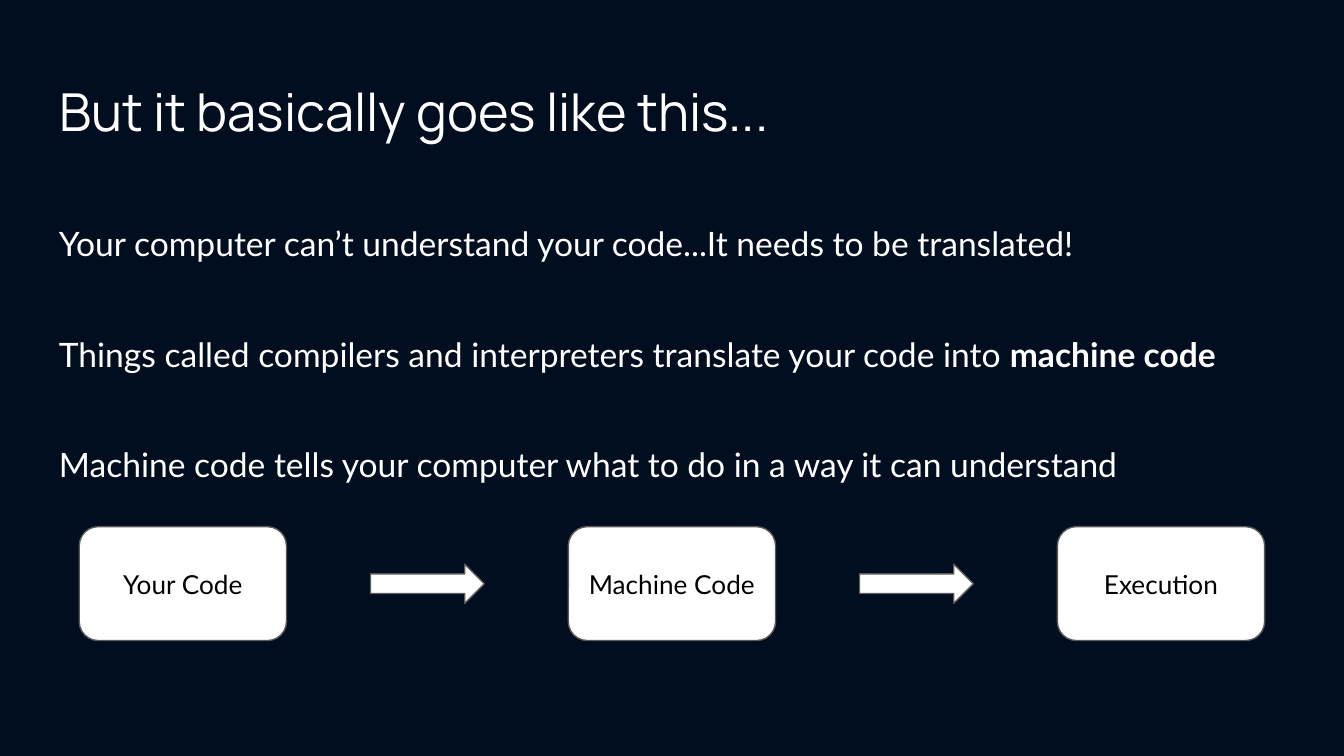
from pptx import Presentation
from pptx.dml.color import RGBColor
from pptx.enum import shapes, text
from pptx.util import Pt

NAVY = RGBColor(0x00, 0x0E, 0x1F)
WHITE = RGBColor(0xFF, 0xFF, 0xFF)
BLACK = RGBColor(0x00, 0x00, 0x00)
GRAY = RGBColor(0x59, 0x59, 0x59)

MARGIN = 24.5
CONTENT_WIDTH = 671
INSET = 7.2
STEPS = ["Your Code", "Machine Code", "Execution"]
STEP_LEFT, STEP_TOP, STEP_PITCH = 42.5, 282.2, 262
STEP_WIDTH, STEP_HEIGHT = 111, 61
ARROW_WIDTH, ARROW_HEIGHT = 61, 21
EXPLANATION = [
    [("Your computer can’t understand your code...It needs to be translated!", False)],
    [
        ("Things called compilers and interpreters translate your code into ", False),
        ("machine code", True),
    ],
    [("Machine code tells your computer what to do in a way it can understand", False)],
]


def write_text(paragraph, content, *, size, color, font="Lato", bold=False,
               align=text.PP_ALIGN.LEFT):
    paragraph.alignment = align
    run = paragraph.add_run()
    run.text = content
    run.font.name = font
    run.font.size = Pt(size)
    run.font.bold = bold
    run.font.color.rgb = color


def format_frame(frame, anchor):
    frame.word_wrap = True
    frame.auto_size = text.MSO_AUTO_SIZE.NONE
    frame.vertical_anchor = anchor
    frame.margin_left = frame.margin_right = Pt(INSET)
    frame.margin_top = frame.margin_bottom = Pt(INSET)


def set_title(slide, content):
    title = slide.shapes.title
    title.left, title.top = Pt(MARGIN), Pt(35.3)
    title.width, title.height = Pt(CONTENT_WIDTH), Pt(45.4)
    format_frame(title.text_frame, text.MSO_ANCHOR.TOP)
    write_text(title.text_frame.paragraphs[0], content,
               size=28, color=WHITE, font="Manrope")


def add_explanation(slide, lines):
    box = slide.shapes.add_textbox(Pt(MARGIN), Pt(90.7), Pt(CONTENT_WIDTH), Pt(170))
    frame = box.text_frame
    format_frame(frame, text.MSO_ANCHOR.TOP)
    for index, line in enumerate(lines):
        paragraph = frame.add_paragraph() if index else frame.paragraphs[0]
        paragraph.line_spacing = 2.0
        paragraph.space_before = Pt(16 if index else 0)
        for content, bold in line:
            write_text(paragraph, content, size=18, color=WHITE, bold=bold)


def add_white_shape(slide, kind, left, top, width, height):
    shape = slide.shapes.add_shape(kind, Pt(left), Pt(top), Pt(width), Pt(height))
    shape.shadow.inherit = False
    shape.fill.solid()
    shape.fill.fore_color.rgb = WHITE
    shape.line.color.rgb = GRAY
    shape.line.width = Pt(0.75)
    return shape


def add_step(slide, label, left):
    step = add_white_shape(slide, shapes.MSO_SHAPE.ROUNDED_RECTANGLE,
                           left, STEP_TOP, STEP_WIDTH, STEP_HEIGHT)
    format_frame(step.text_frame, text.MSO_ANCHOR.MIDDLE)
    write_text(step.text_frame.paragraphs[0], label,
               size=14, color=BLACK, align=text.PP_ALIGN.CENTER)


def add_arrow(slide, step_left):
    left = step_left + (STEP_PITCH + STEP_WIDTH - ARROW_WIDTH) / 2
    top = STEP_TOP + (STEP_HEIGHT - ARROW_HEIGHT) / 2
    add_white_shape(slide, shapes.MSO_SHAPE.RIGHT_ARROW,
                    left, top, ARROW_WIDTH, ARROW_HEIGHT)


def add_flow(slide, labels):
    for index, label in enumerate(labels):
        left = STEP_LEFT + index * STEP_PITCH
        add_step(slide, label, left)
        if index < len(labels) - 1:
            add_arrow(slide, left)


def main():
    presentation = Presentation()
    presentation.slide_width, presentation.slide_height = Pt(720), Pt(405)
    slide = presentation.slides.add_slide(presentation.slide_layouts[5])
    slide.background.fill.solid()
    slide.background.fill.fore_color.rgb = NAVY
    set_title(slide, "But it basically goes like this...")
    add_explanation(slide, EXPLANATION)
    add_flow(slide, STEPS)
    presentation.save("out.pptx")


if __name__ == "__main__":
    main()
